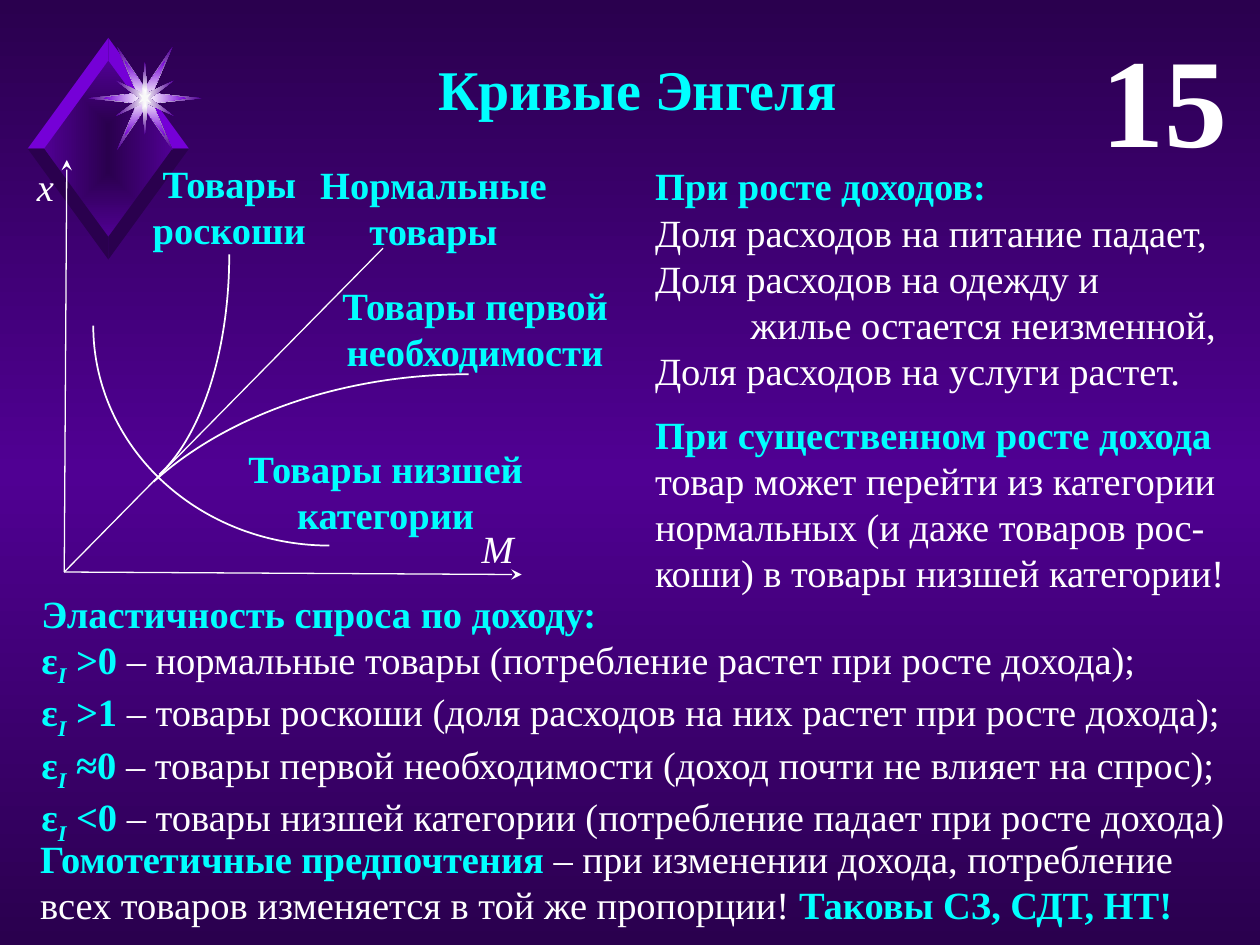
from lxml import etree
from pptx import Presentation
from pptx.dml.color import RGBColor
from pptx.enum.shapes import MSO_CONNECTOR, MSO_SHAPE
from pptx.enum.text import PP_ALIGN
from pptx.oxml.ns import qn
from pptx.util import Inches, Pt

LEFT, MID, RIGHT = PP_ALIGN.LEFT, PP_ALIGN.CENTER, PP_ALIGN.RIGHT
FONT = "Times New Roman"
HUE = {"dark": "2A004E", "deep": "500093", "edge": "7500D7",
       "cyan": "00FFFF", "white": "FFFFFF", "pale": "F9F9F9"}

# Content: a paragraph is a list of (text, style) runs;
# h = cyan bold, s = cyan bold subscript, n = plain white, i = white italic
GOODS = [
    (">0", "нормальные товары (потребление растет при росте дохода);"),
    (">1", "товары роскоши (доля расходов на них растет при росте дохода);"),
    ("≈0", "товары первой необходимости (доход почти не влияет на спрос);"),
    ("<0", "товары низшей категории (потребление падает при росте дохода)"),
]
ELASTIC = [[("Эластичность спроса по доходу:", "h")]] + [
    [("ε", "h"), ("I", "s"), (f" {sign} ", "h"), (f"– {kind}", "n")]
    for sign, kind in GOODS]
INCOME = [
    [("При росте доходов:", "h")],
    [("Доля расходов на питание падает,", "n")],
    [("Доля расходов на одежду и", "n")],
    [("жилье остается неизменной,", "n")],
    [("Доля расходов на услуги растет.", "n")],
    [("При существенном росте дохода ", "h"),
     ("товар может перейти из категории нормальных "
      "(и даже товаров рос-коши) в товары низшей категории!", "n")],
]
HOMO = [[
    ("Гомотетичные предпочтения ", "h"),
    ("– при изменении дохода, потребление всех товаров "
     "изменяется в той же пропорции! ", "n"),
    ("Таковы СЗ, СДТ, НТ!", "h")]]
LABELS = [  # box, lines
    ((2.39, 1.23, 2.1, 0.76), ["Нормальные", "товары"]),
    ((0.77, 1.22, 2.1, 0.76), ["Товары", "роскоши"]),
    ((2.56, 2.19, 2.42, 0.76), ["Товары первой необходимости"]),
    ((1.85, 3.48, 2.42, 0.76), ["Товары низшей категории"]),
]
AXES = [("M", (3.66, 4.16, 0.58, 0.56)), ("x", (0.19, 1.28, 0.34, 0.55))]
ZERO = (0.51, 4.54)
RAYS = [((3.04, 1.97), None), ((0.53, 1.27), "stealth"),
        ((4.14, 4.56), "stealth")]
ARCS = [  # box, flips, start and end angle
    ((0.59, 2.97, 6.26, 4.28), ["flipH"], (162, 199.65)),
    ((0.74, 0.84, 3.75, 3.49), ["flipH", "flipV"], (162, 0)),
    ((-0.08, 0.11, 1.9, 3.83), ["flipV"], (169.67, 0.19)),
]
GEM = (0.86, 1.18)
CORE, RIM = (0.51, 0.7), (0.64, 0.88)
STAR = (1.15, 0.78)
STARS = [  # upper right quarter from top to right, colours
    ([(0, -0.08), (0.22, -0.41), (0.06, -0.04), (0.45, 0)],
     ["white", "deep"]),
    ([(0, -0.08), (0.16, -0.3), (0.06, -0.04), (0.33, 0)],
     ["white", "edge"]),
    ([(0, -0.29), (0.02, -0.04), (0.23, -0.14), (0.04, 0)],
     ["white", "deep"]),
    ([(0, -0.07), (0.01, -0.02), (0.05, -0.04), (0.02, 0)], ["pale"]),
]

deck = Presentation()
deck.slide_width, deck.slide_height = Inches(10), Inches(7.5)
slide = deck.slides.add_slide(deck.slide_layouts[6])
shapes = slide.shapes


def rgb(name):
    return RGBColor.from_string(HUE[name])


def blend(fill, root, names, focus=False):
    fill.gradient()
    node = next(root.iter(qn("a:gradFill")))
    for kid in list(node):
        node.remove(kid)
    stops = etree.SubElement(node, qn("a:gsLst"))
    for i, name in enumerate(names):
        stop = etree.SubElement(stops, qn("a:gs"),
                                pos=str(100000 * i // (len(names) - 1)))
        etree.SubElement(stop, qn("a:srgbClr"), val=HUE[name])
    if focus:
        way = etree.SubElement(node, qn("a:path"), path="rect")
        etree.SubElement(way, qn("a:fillToRect"),
                         **{side: "50000" for side in "ltrb"})
    else:
        etree.SubElement(node, qn("a:lin"), ang="5400000", scaled="0")


def poly(spot, points, names):
    points = [(Inches(spot[0] + x), Inches(spot[1] + y)) for x, y in points]
    pen = shapes.build_freeform(*points[0])
    pen.add_line_segments(points[1:], close=True)
    part = pen.convert_to_shape()
    part.shadow.inherit = False
    part.line.fill.background()
    if len(names) > 1:
        blend(part.fill, part._element.spPr, names, focus=True)
    else:
        part.fill.solid()
        part.fill.fore_color.rgb = rgb(names[0])


def write(box, paras, size=22, align=LEFT, pad=None):
    frame = shapes.add_textbox(*map(Inches, box)).text_frame
    frame.word_wrap = True
    if pad is not None:
        frame.margin_left = frame.margin_right = Inches(pad)
        frame.margin_top = frame.margin_bottom = Inches(pad)
    for i, runs in enumerate(paras):
        para = frame.add_paragraph() if i else frame.paragraphs[0]
        para.alignment = align
        for text, style in runs:
            run = para.add_run()
            run.text = text
            font = run.font
            font.name, font.size = FONT, Pt(size)
            font.bold = style in ("h", "s", "b")
            font.italic = style in ("s", "i")
            font.color.rgb = rgb("cyan" if style in ("h", "s") else "white")
            if style == "s":
                run._r.get_or_add_rPr().set("baseline", "-25000")
    return frame.paragraphs


# Background and gem
blend(slide.background.fill, slide._element, ["dark", "deep", "dark"])
(cw, ch), (rw, rh) = CORE, RIM
poly(GEM, [(0, -ch), (-cw, 0), (0, ch), (cw, 0)], ["dark", "deep"])
for dy, name in ((-1, "edge"), (1, "dark")):
    for dx in (1, -1):
        poly(GEM, [(0, dy * ch), (0, dy * rh), (dx * rw, 0), (dx * cw, 0)],
             [name])
for arm, names in STARS:
    half = arm + [(x, -y) for x, y in arm[-2::-1]]
    poly(STAR, half + [(-x, y) for x, y in half[-2:0:-1]], names)

# Curves and axes
for end, head in RAYS:
    ray = shapes.add_connector(MSO_CONNECTOR.STRAIGHT,
                               *map(Inches, ZERO + end))
    ray.line.color.rgb, ray.line.width = rgb("white"), Pt(0.75)
    if head:
        etree.SubElement(ray.line._get_or_add_ln(), qn("a:tailEnd"), type=head)
    etree.SubElement(ray._element.spPr, qn("a:effectLst"))
for box, flips, angles in ARCS:
    arc = shapes.add_shape(MSO_SHAPE.ARC, *map(Inches, box))
    arc.shadow.inherit = False
    arc.fill.background()
    arc.line.color.rgb, arc.line.width = rgb("white"), Pt(1)
    for i, angle in enumerate(angles):
        arc.adjustments[i] = angle
    for flip in flips:
        arc._element.spPr.xfrm.set(flip, "1")

# Text
write((0.25, 0.38, 9.62, 0.64), [[("Кривые Энгеля", "h")]], size=32, align=MID)
for box, lines in LABELS:
    write(box, [[(line, "h")] for line in lines],
          align=MID if len(lines) > 1 else MID)
for name, box in AXES:
    write(box, [[(name, "i")]], align=MID, pad=0.01)
write((0.23, 4.63, 9.68, 1.95), ELASTIC)
paras = write((5.1, 1.24, 4.81, 3.57), INCOME)
paras[3]._p.get_or_add_pPr().set("marL", str(Inches(0.76)))
paras[-1].space_before = Pt(10)
write((8.59, 0.12, 1.25, 1.31), [[("15", "b")]], size=72, align=RIGHT)
write((0.22, 6.58, 9.68, 0.84), HOMO)

deck.save("out.pptx")
